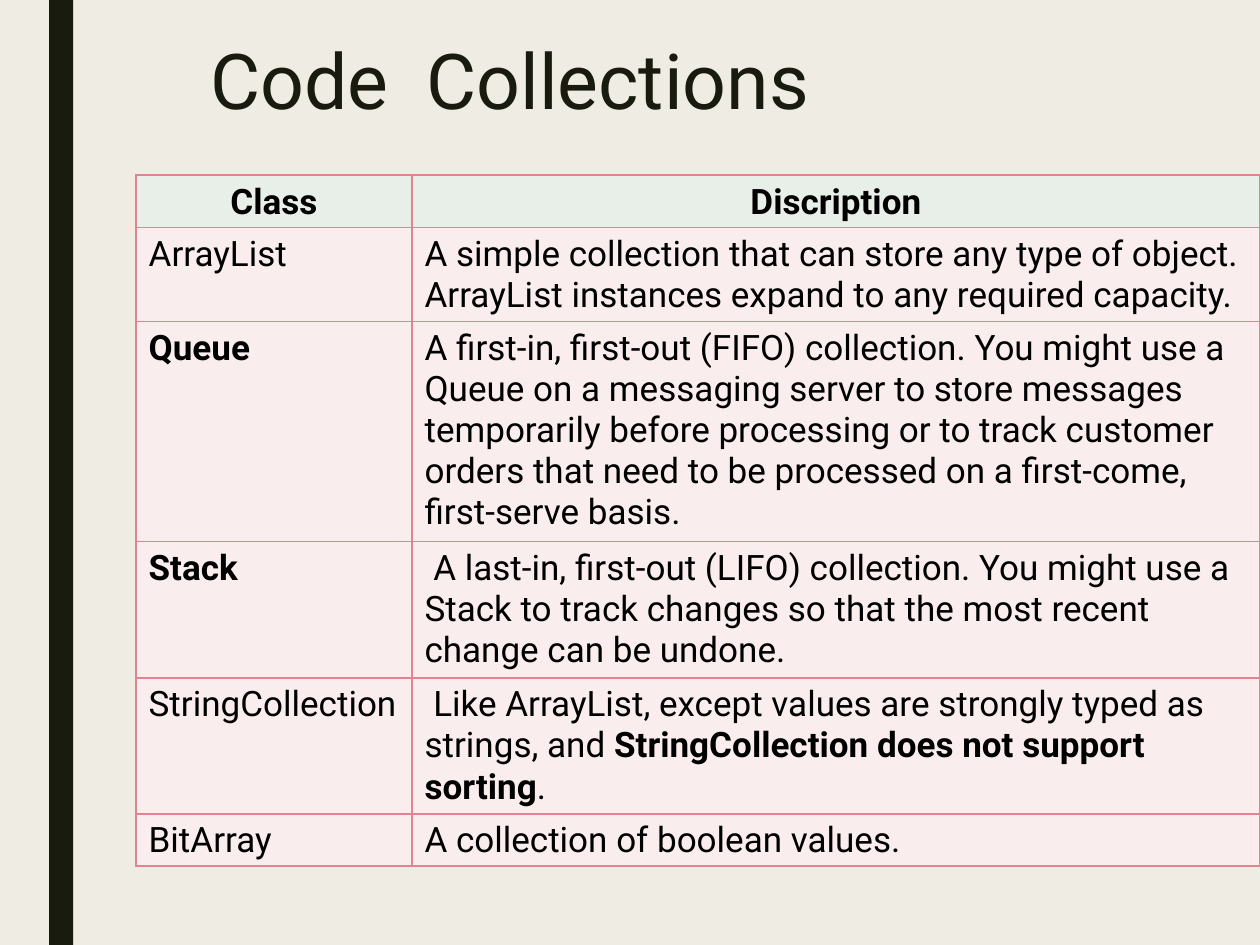
from lxml import etree
from pptx import Presentation
from pptx.dml.color import RGBColor
from pptx.enum.shapes import MSO_SHAPE
from pptx.enum.text import PP_ALIGN
from pptx.oxml.ns import qn
from pptx.util import Inches, Pt

# Content: each cell is a list of (text, bold) runs
TITLE = "Code  Collections"
COLLECTIONS = [
    ([("Class", True)], [("Discription", True)]),
    ([("ArrayList", False)],
     [("A simple collection that can store any type of object. "
       "ArrayList instances expand to any required capacity.", False)]),
    ([("Queue", True)],
     [("A first-in, first-out (FIFO) collection. You might use a Queue on a "
       "messaging server to store messages temporarily before processing or to "
       "track customer orders that need to be processed on a first-come, "
       "first-serve basis.", False)]),
    ([("Stack", True)],
     [(" A last-in, first-out (LIFO) collection. You might use a Stack to track "
       "changes so that the most recent change can be undone.", False)]),
    ([("StringCollection", False)],
     [(" Like ArrayList, except values are strongly typed as strings, and ", False),
      ("StringCollection does not support sorting", True), (".", False)]),
    ([("BitArray", False)], [("A collection of boolean values.", False)]),
]
COLORS = {"background": "EFEDE3", "dark": "191B0E", "text": "000000",
          "header": "E8EEE8", "body": "FAEDEE", "border": "E28394"}
FONT = "Roboto"
COLUMN_WIDTHS = (2.19, 6.73)
ROW_HEIGHT = 0.41


def color(name):
    return RGBColor.from_string(COLORS[name])


def set_font(font, size, color_name):
    font.name = FONT
    font.size = Pt(size)
    font.color.rgb = color(color_name)


def add_borders(cell):
    properties = cell._tc.get_or_add_tcPr()
    for index, side in enumerate(("a:lnL", "a:lnR", "a:lnT", "a:lnB")):
        line = etree.Element(qn(side), w=str(Pt(1)))
        fill = etree.SubElement(line, qn("a:solidFill"))
        etree.SubElement(fill, qn("a:srgbClr"), val=COLORS["border"])
        properties.insert(index, line)


prs = Presentation()
prs.slide_width, prs.slide_height = Inches(10), Inches(7.5)
slide = prs.slides.add_slide(prs.slide_layouts[6])
slide.background.fill.solid()
slide.background.fill.fore_color.rgb = color("background")

# Side bar
side_bar = slide.shapes.add_shape(MSO_SHAPE.RECTANGLE, Inches(0.39), 0,
                                  Inches(0.19), prs.slide_height)
side_bar.shadow.inherit = False
side_bar.fill.solid()
side_bar.fill.fore_color.rgb = color("dark")
side_bar.line.fill.background()

# Title
title = slide.shapes.add_textbox(Inches(1.57), Inches(0.3), Inches(8.2), Inches(1.12))
title.text_frame.word_wrap = True
heading = title.text_frame.paragraphs[0]
heading.text = TITLE
heading.line_spacing = 0.89
set_font(heading.font, 44, "dark")

# Table of collection classes
class_table = slide.shapes.add_table(
    len(COLLECTIONS), len(COLUMN_WIDTHS), Inches(1.08), Inches(1.39),
    Inches(sum(COLUMN_WIDTHS)), Inches(ROW_HEIGHT * len(COLLECTIONS))).table
for column, width in zip(class_table.columns, COLUMN_WIDTHS):
    column.width = Inches(width)

for row_index, entry in enumerate(COLLECTIONS):
    is_header = row_index == 0
    for column_index, runs in enumerate(entry):
        cell = class_table.cell(row_index, column_index)
        cell.margin_bottom = Inches(0.03)
        cell.fill.solid()
        cell.fill.fore_color.rgb = color("header" if is_header else "body")
        add_borders(cell)
        paragraph = cell.text_frame.paragraphs[0]
        paragraph.alignment = PP_ALIGN.CENTER if is_header else PP_ALIGN.LEFT
        set_font(paragraph.font, 20, "text")
        for text, bold in runs:
            run = paragraph.add_run()
            run.text = text
            run.font.bold = bold

prs.save("out.pptx")
